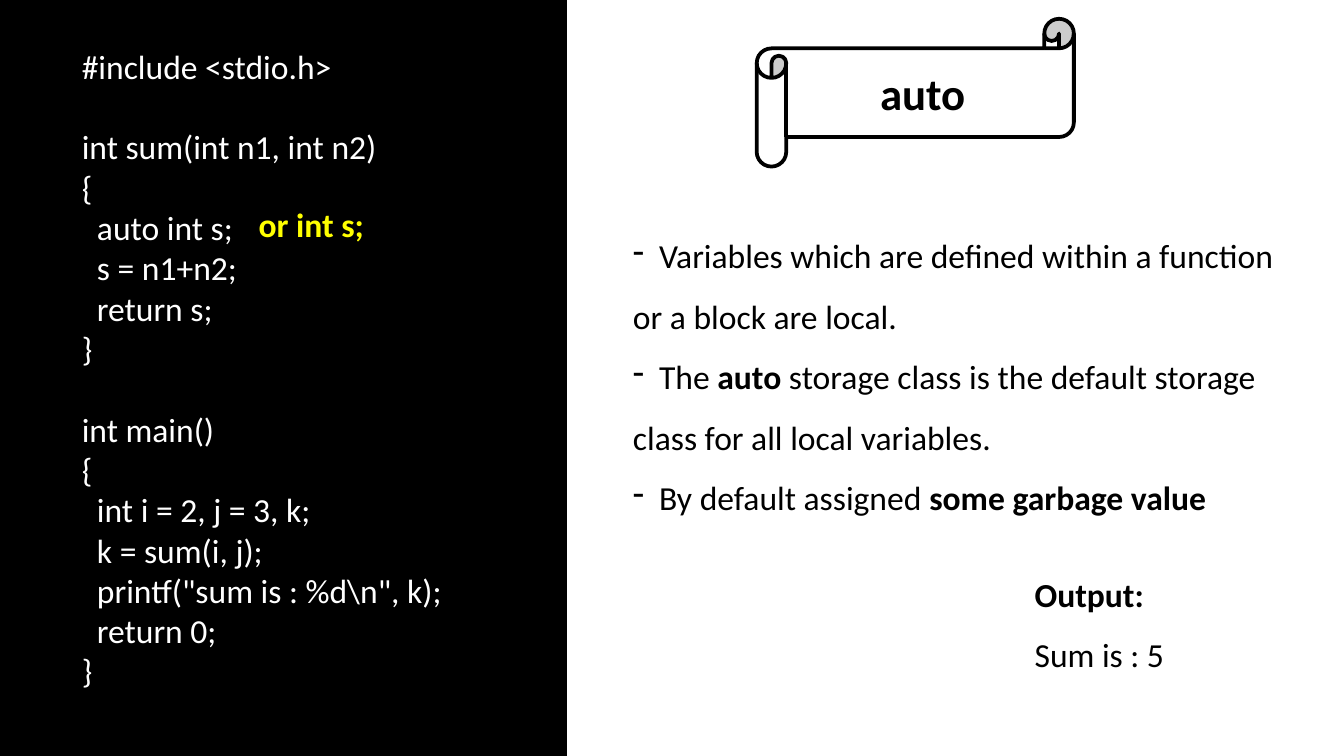
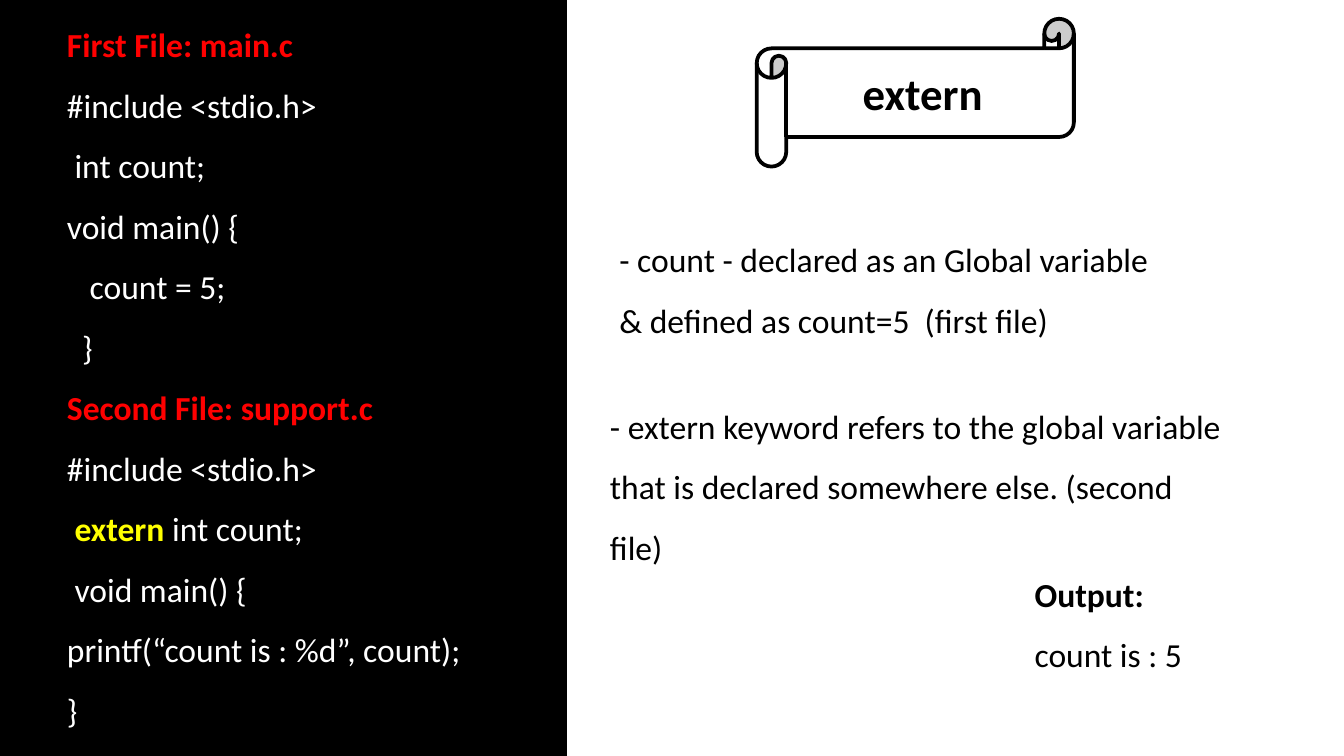
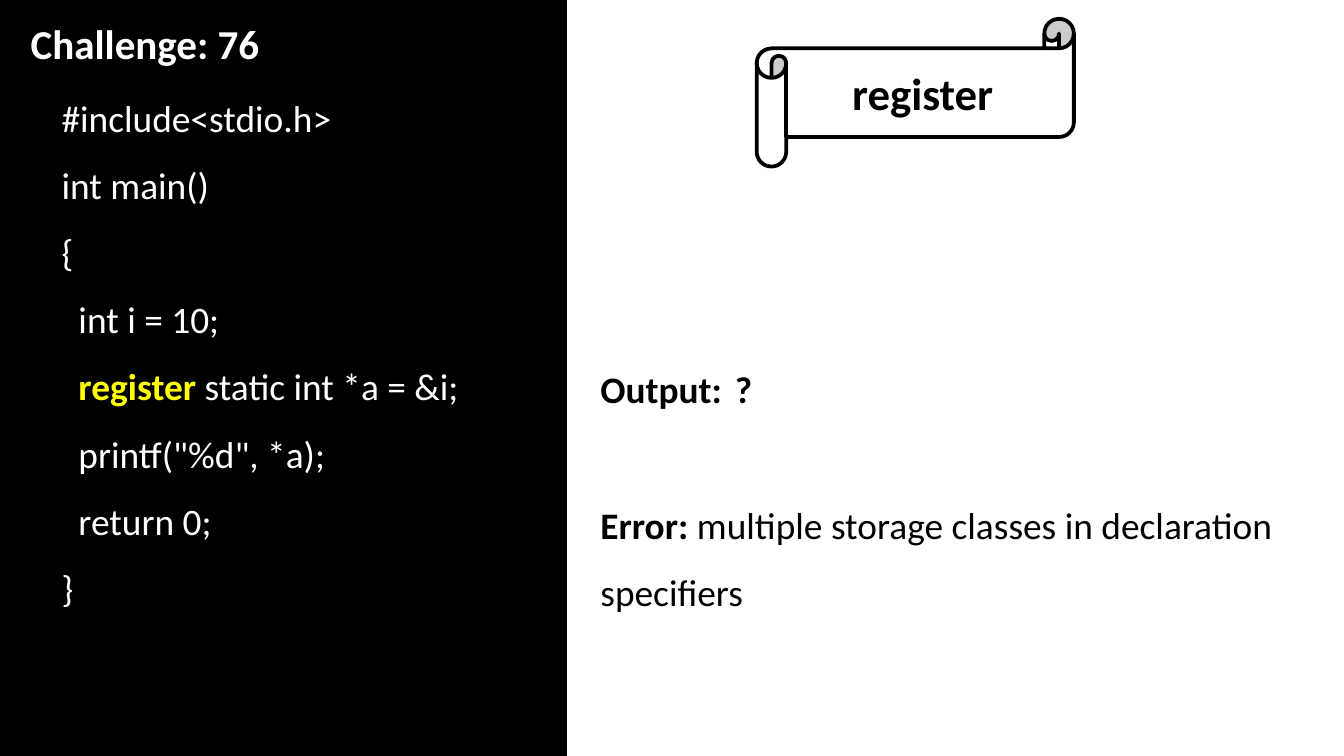
from lxml.etree import SubElement
from pptx import Presentation
from pptx.dml.color import RGBColor
from pptx.enum.shapes import MSO_SHAPE
from pptx.enum.text import MSO_ANCHOR, MSO_AUTO_SIZE, PP_ALIGN
from pptx.oxml.ns import qn
from pptx.util import Pt

COLORS = {"black": "000000", "white": "FFFFFF", "yellow": "FFFF00", "red": "FF0000"}
FONT = "Calibri"
SPACE_WIDTH = 0.226  # width of a space, as a share of the font size
LINE_HEIGHT = 1.2

# style: colour, bold
STYLES = {
    "code": ("white", False),
    "title": ("white", True),
    "keyword": ("yellow", True),
    "file": ("red", True),
    "note": ("black", False),
    "strong": ("black", True),
}

SLIDE_SIZE = (720, 405)
CODE_PANEL = (0, 0, 303, 405)
SCROLL = (405.4, 10.1, 169.9, 79.2)
OUTPUT = (547.2, 293, 108, 72.7)

# A line is a string in the style of its box, or a list of (text, style) spans.
# Leading spaces become an indent, and an empty line becomes space before the next.
SLIDES = [
    {
        "name": "auto",
        "boxes": [
            {"at": (332, 111.6, 360, 170.6), "style": "note", "bullet": "-", "tab": 14, "lines": [
                "\tVariables which are defined within a function or a block are local.",
                [("\tThe ", "note"), ("auto", "strong"),
                 (" storage class is the default storage class for all local variables.", "note")],
                [("\tBy default assigned ", "note"), ("some garbage value", "strong")],
            ]},
            {"at": (36.7, 20.9, 226.8, 356.4), "style": "code", "spacing": 1, "lines": [
                "#include <stdio.h>",
                "",
                "int sum(int n1, int n2)",
                "{",
                "  auto int s;",
                "  s = n1+n2;",
                "  return s;",
                "}",
                "",
                "int main()",
                "{",
                "  int i = 2, j = 3, k;",
                "  k = sum(i, j);",
                r'  printf("sum is : %d\n", k);',
                "  return 0;",
                "}",
            ]},
            {"at": (127.4, 105.8, 111.6, 28.8), "style": "keyword", "spacing": 1,
             "lines": [" or int s;"]},
            {"at": OUTPUT, "style": "note", "lines": [[("Output:", "strong")], "Sum is : 5"]},
        ],
    },
    {
        "name": "extern",
        "boxes": [
            {"at": (28.8, -1.4, 249.1, 399.6), "style": "code", "lines": [
                [("First File: main.c", "file")],
                "#include <stdio.h>",
                " int count;",
                "void main() {",
                "   count = 5;",
                "  }",
                [("Second File: support.c", "file")],
                "#include <stdio.h>",
                [(" extern ", "keyword"), ("int count;", "code")],
                " void main() {",
                "printf(“count is : %d”, count);",
                "}",
            ]},
            {"at": (324.7, 113.8, 375.1, 72.7), "style": "note", "lines": [
                "- count - declared as an Global variable",
                "& defined as count=5  (first file)",
            ]},
            {"at": (319.7, 203, 342, 105.1), "style": "note", "lines": [
                "- extern keyword refers to the global variable that is declared "
                "somewhere else. (second file)",
            ]},
            {"at": OUTPUT, "style": "note", "lines": [[("Output:", "strong")], "count is : 5"]},
        ],
    },
    {
        "name": "register",
        "boxes": [
            {"at": (25.9, 35.3, 251.3, 298.1), "style": "code", "size": 20, "lines": [
                "#include<stdio.h>",
                "int main()",
                "{",
                "  int i = 10;",
                [("  register", "keyword"), (" static int *a = &i;", "code")],
                '  printf("%d", *a);',
                "  return 0;",
                "}",
            ]},
            {"at": (314.6, 253.4, 388.8, 79.9), "style": "note", "size": 20, "lines": [
                [("Error: ", "strong"),
                 ("multiple storage classes in declaration specifiers", "note")],
            ]},
            {"at": (314.6, 180.7, 364.3, 43.2), "style": "strong", "size": 20, "tab": 79,
             "lines": ["Output:\t?"]},
            {"at": (9.4, 6.5, 144, 33.8), "style": "title", "size": 22, "spacing": 1,
             "lines": ["Challenge: 76"]},
        ],
    },
]


def color(name):
    return RGBColor.from_string(COLORS[name])


def points(lengths):
    return [Pt(length) for length in lengths]


def format_span(span, size, style):
    color_name, bold = STYLES[style]
    span.font.name = FONT
    span.font.size = Pt(size)
    span.font.bold = bold
    span.font.color.rgb = color(color_name)


def add_outlined_shape(slide, kind, at, fill):
    shape = slide.shapes.add_shape(kind, *points(at))
    shape.shadow.inherit = False
    shape.fill.solid()
    shape.fill.fore_color.rgb = color(fill)
    shape.line.color.rgb = color("black")
    shape.line.width = Pt(2)
    return shape


def add_scroll(slide, name):
    scroll = add_outlined_shape(slide, MSO_SHAPE.HORIZONTAL_SCROLL, SCROLL, "white")
    scroll.adjustments[0] = 0.2
    scroll.text_frame.text = name
    scroll.text_frame.vertical_anchor = MSO_ANCHOR.MIDDLE
    para = scroll.text_frame.paragraphs[0]
    para.alignment = PP_ALIGN.CENTER
    format_span(para.runs[0], 24, "strong")


def set_layout(para, indent, bullet, tab):
    """Set the left indent, bullet character and tab stop of a paragraph."""
    properties = para._p.get_or_add_pPr()
    properties.set("marL", str(Pt(indent)))
    properties.set("indent", "0")
    if bullet:
        SubElement(properties, qn("a:buChar"), char=bullet)
    if tab:
        stops = SubElement(properties, qn("a:tabLst"))
        SubElement(stops, qn("a:tab"), pos=str(Pt(tab)), algn="l")


def add_text(slide, at, lines, style, size=18, spacing=1.5, bullet=None, tab=None):
    frame = slide.shapes.add_textbox(*points(at)).text_frame
    frame.word_wrap = True
    frame.auto_size = MSO_AUTO_SIZE.SHAPE_TO_FIT_TEXT
    para, gap = None, 0
    for line in lines:
        if not line:
            gap += size * LINE_HEIGHT
            continue
        para = frame.add_paragraph() if para else frame.paragraphs[0]
        para.line_spacing = float(spacing)
        if gap:
            para.space_before = Pt(gap)
            gap = 0
        spans = [(line, style)] if isinstance(line, str) else line
        first_text = spans[0][0]
        spaces = len(first_text) - len(first_text.lstrip(" "))
        set_layout(para, spaces * SPACE_WIDTH * size, bullet, tab)
        for index, (text, span_style) in enumerate(spans):
            span = para.add_run()
            span.text = text if index else text.lstrip(" ")
            format_span(span, size, span_style)


def main():
    deck = Presentation()
    deck.slide_width, deck.slide_height = points(SLIDE_SIZE)
    for content in SLIDES:
        slide = deck.slides.add_slide(deck.slide_layouts[6])
        add_outlined_shape(slide, MSO_SHAPE.RECTANGLE, CODE_PANEL, "black")
        add_scroll(slide, content["name"])
        for box in content["boxes"]:
            add_text(slide, **box)
    deck.save("out.pptx")


if __name__ == "__main__":
    main()
